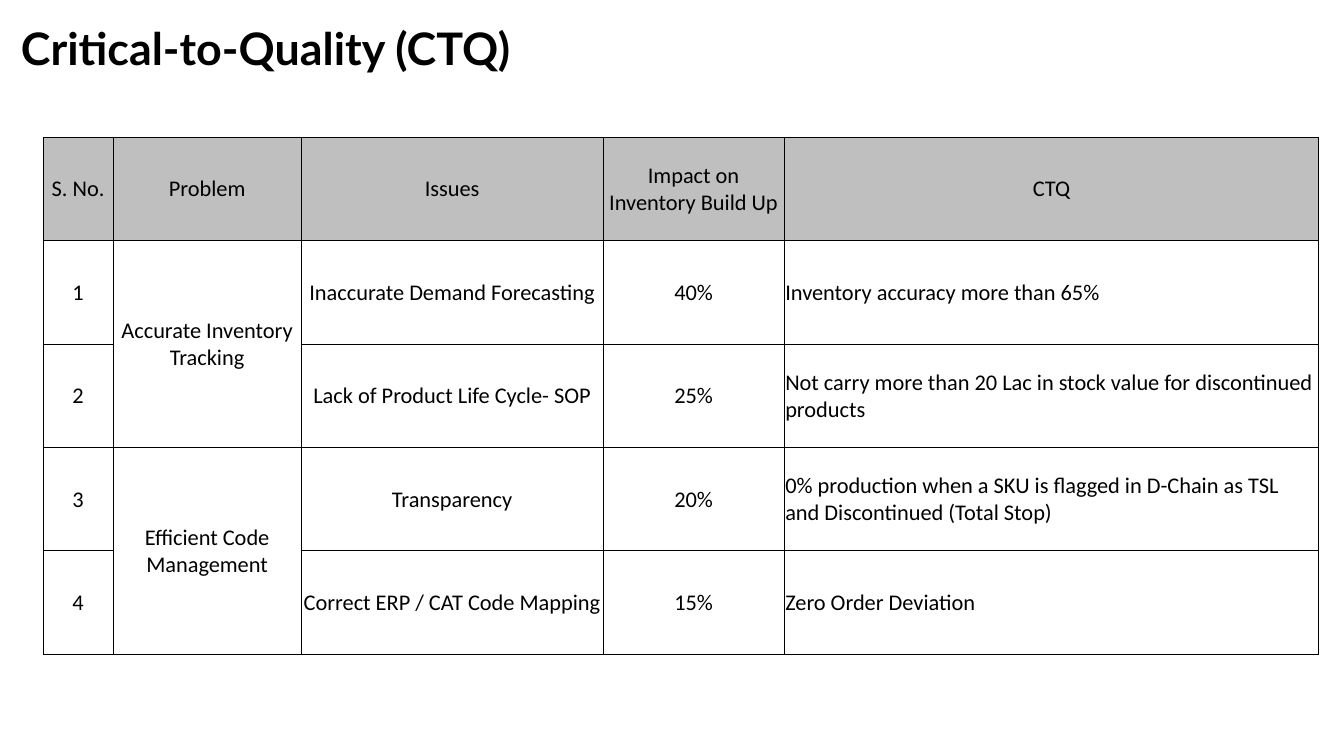
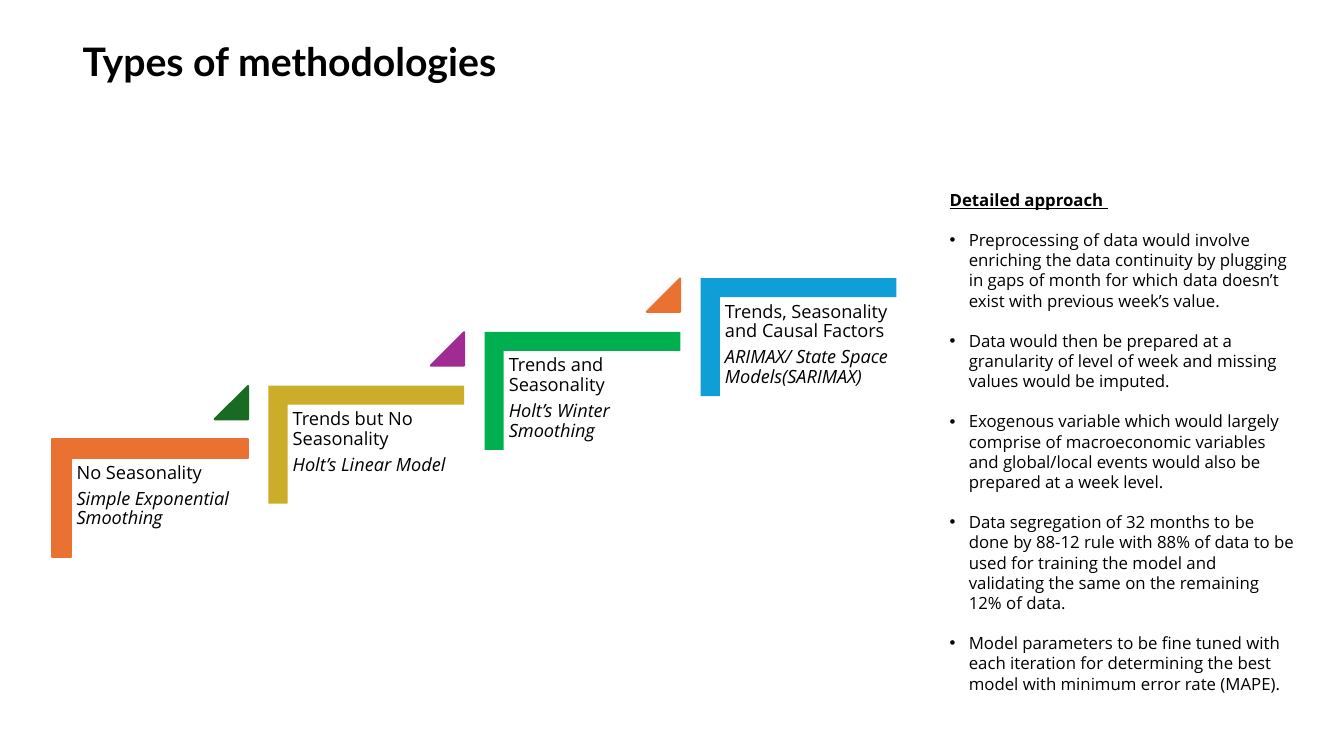
from lxml import etree
from pptx import Presentation
from pptx.dml.color import RGBColor
from pptx.enum.shapes import MSO_SHAPE as SHAPE
from pptx.enum.text import MSO_ANCHOR as ANCHOR, PP_ALIGN as ALIGN
from pptx.oxml.ns import qn
from pptx.util import Inches, Pt

SLIDE_W, SLIDE_H = 13.33, 7.5
BLACK, GREY, ORANGE = "000000", "BFBFBF", "E97132"
TITLE_FONT, TABLE_FONT, BODY_FONT = "Lato", "Calibri", "Open Sans"

CTQ_COLUMNS = [0.69, 1.87, 2.99, 1.8, 5.3]
CTQ_ROWS = [
    ["S. No.", "Problem", "Issues", "Impact on Inventory Build Up", "CTQ"],
    ["1", "Accurate Inventory Tracking", "Inaccurate Demand Forecasting", "40%",
     "Inventory accuracy more than 65%"],
    ["2", None, "Lack of Product Life Cycle- SOP", "25%",
     "Not carry more than 20 Lac in stock value for discontinued products"],
    ["3", "Efficient Code Management", "Transparency", "20%",
     "0% production when a SKU is flagged in D-Chain as TSL and Discontinued (Total Stop)"],
    ["4", None, "Correct ERP / CAT Code Mapping", "15%", "Zero Order Deviation"],
]

# Situation, method, bracket colour, colour of the triangle leading to the next step
STEPS = [
    ("No Seasonality", "Simple Exponential Smoothing", ORANGE, "196B24"),
    ("Trends but No Seasonality", "Holt’s Linear Model", "CCAD2A", "A02B93"),
    ("Trends and Seasonality", "Holt’s Winter Smoothing", "00B050", ORANGE),
    ("Trends, Seasonality and Causal Factors", "ARIMAX/ State Space Models(SARIMAX)",
     "0F9ED5", None),
]

APPROACH = [
    "Preprocessing of data would involve enriching the data continuity by plugging in gaps "
    "of month for which data doesn’t exist with previous week’s value.",
    "Data would then be prepared at a granularity of level of week and missing values "
    "would be imputed.",
    "Exogenous variable which would largely comprise of macroeconomic variables and "
    "global/local events would also be prepared at a week level.",
    "Data segregation of 32 months to be done by 88-12 rule with 88% of data to be used for "
    "training the model and validating the same on the remaining 12% of data.",
    "Model parameters to be fine tuned with each iteration for determining the best model "
    "with minimum error rate (MAPE).",
]


def rgb(color):
    return RGBColor.from_string(color)


def inches(box):
    return [Inches(v) for v in box]


def add_run(p, text, font, size, bold=False, italic=False, underline=False):
    r = p.add_run()
    r.text = text
    f = r.font
    f.name, f.size, f.color.rgb = font, Pt(size), rgb(BLACK)
    f.bold, f.italic, f.underline = bold, italic, underline


def add_text_frame(shapes, box, inset=None, anchor=ANCHOR.TOP):
    tf = shapes.add_textbox(*inches(box)).text_frame
    tf.word_wrap = True
    tf.vertical_anchor = anchor
    if inset is not None:
        tf.margin_left = tf.margin_top = tf.margin_right = tf.margin_bottom = Inches(inset)
    return tf


def add_title(slide, text, box, size, anchor=ANCHOR.TOP):
    p = add_text_frame(slide.shapes, box, anchor=anchor).paragraphs[0]
    p.line_spacing = 0.9
    add_run(p, text, TITLE_FONT, size, bold=True)


def add_filled_shape(shapes, kind, box, color, outlined):
    sp = shapes.add_shape(kind, *inches(box))
    sp.shadow.inherit = False
    sp.fill.solid()
    sp.fill.fore_color.rgb = rgb(color)
    if outlined:
        sp.line.color.rgb, sp.line.width = rgb(color), Pt(1.5)
    else:
        sp.line.fill.background()
    return sp


def set_borders(cell, color=BLACK, width=0.5):
    tc_pr = cell._tc.get_or_add_tcPr()
    for side in ("lnL", "lnR", "lnT", "lnB"):
        ln = etree.SubElement(tc_pr, qn(f"a:{side}"), w=str(Pt(width)))
        fill = etree.SubElement(ln, qn("a:solidFill"))
        etree.SubElement(fill, qn("a:srgbClr"), val=color)


def style_cell(cell, text, header, centred):
    set_borders(cell)
    if header:
        cell.fill.solid()
        cell.fill.fore_color.rgb = rgb(GREY)
    else:
        cell.fill.background()
    cell.margin_left = cell.margin_top = cell.margin_right = Inches(0.01)
    cell.margin_bottom = 0
    cell.vertical_anchor = ANCHOR.MIDDLE
    if text:
        p = cell.text_frame.paragraphs[0]
        p.alignment = ALIGN.CENTER if centred else ALIGN.LEFT
        add_run(p, text, TABLE_FONT, 16)


def add_ctq_table(slide, box):
    """Table of CTQ_ROWS; a None cell joins the one above it."""
    n_rows, n_cols = len(CTQ_ROWS), len(CTQ_COLUMNS)
    table = slide.shapes.add_table(n_rows, n_cols, *inches(box)).table
    table.first_row = table.horz_banding = False
    for column, width in zip(table.columns, CTQ_COLUMNS):
        column.width = Inches(box[2] * width / sum(CTQ_COLUMNS))
    for i, row in enumerate(CTQ_ROWS):
        table.rows[i].height = Inches(box[3] / n_rows)
        for j, text in enumerate(row):
            header = i == 0
            style_cell(table.cell(i, j), text, header, header or j < n_cols - 1)
            if text is None:
                table.cell(i - 1, j).merge(table.cell(i, j))


def add_step(shapes, box, step, outlined):
    """Bracket along the top and left of the box, its text, and a triangle above."""
    x, y, w, h = box
    situation, method, color, next_color = step
    # The corner shape is turned a quarter, so its own width and height swap.
    bracket = add_filled_shape(shapes, SHAPE.CORNER,
                               (x + (w - h) / 2, y + (h - w) / 2, h, w), color, outlined)
    bracket.rotation = 90
    bracket.adjustments[0] = bracket.adjustments[1] = 0.161

    tf = add_text_frame(shapes, (x + 0.19, y + 0.19, 0.9 * w, 1.54), inset=0.05)
    for p, text, italic in ((tf.paragraphs[0], situation, False),
                            (tf.add_paragraph(), method, True)):
        p.line_spacing, p.space_after = 0.9, Pt(4.5)
        add_run(p, text, BODY_FONT, 13, italic=italic)

    if next_color:
        side = 0.33
        triangle = add_filled_shape(shapes, SHAPE.ISOSCELES_TRIANGLE,
                                    (x + w - side, y - 0.53, side, side), next_color, True)
        triangle.adjustments[0] = 1


def add_staircase(slide, box):
    """Steps of equal size, rising from the bottom left to the top right of the box."""
    x, y, w, h = box
    step_w, step_h = 1.94, 1.17
    last = len(STEPS) - 1
    dx, dy = (w - step_w) / last, (h - step_h) / last
    shapes = slide.shapes.add_group_shape().shapes
    for i, step in enumerate(STEPS):
        add_step(shapes, (x + i * dx, y + (last - i) * dy, step_w, step_h), step, i == 0)


def add_bullet(p, indent=0.19):
    p_pr = p._p.get_or_add_pPr()
    p_pr.set("marL", str(Inches(indent)))
    p_pr.set("indent", str(-Inches(indent)))
    etree.SubElement(p_pr, qn("a:buFont"), typeface="Arial")
    etree.SubElement(p_pr, qn("a:buChar"), char="•")


def add_approach(slide, box):
    tf = add_text_frame(slide.shapes, box)
    add_run(tf.paragraphs[0], "Detailed approach ", BODY_FONT, 12, bold=True, underline=True)
    for text in APPROACH:
        p = tf.add_paragraph()
        add_bullet(p)
        p.space_before = Pt(14.4)
        add_run(p, text, BODY_FONT, 12)


def build_ctq_slide(slide):
    add_title(slide, "Critical-to-Quality (CTQ)", (0.11, 0.22, 11.5, 0.75), 32)
    add_ctq_table(slide, (0.43, 1.36, 12.65, 5.13))


def build_methodologies_slide(slide):
    add_title(slide, "Types of methodologies", (0.72, 0.32, 11.48, 0.62), 28, ANCHOR.MIDDLE)
    add_staircase(slide, (0.52, 2.76, 8.37, 2.77))
    add_approach(slide, (9.32, 1.83, 3.62, 5.15))


def main():
    prs = Presentation()
    prs.slide_width, prs.slide_height = Inches(SLIDE_W), Inches(SLIDE_H)
    for build in (build_ctq_slide, build_methodologies_slide):
        build(prs.slides.add_slide(prs.slide_layouts[6]))
    prs.save("out.pptx")


if __name__ == "__main__":
    main()
